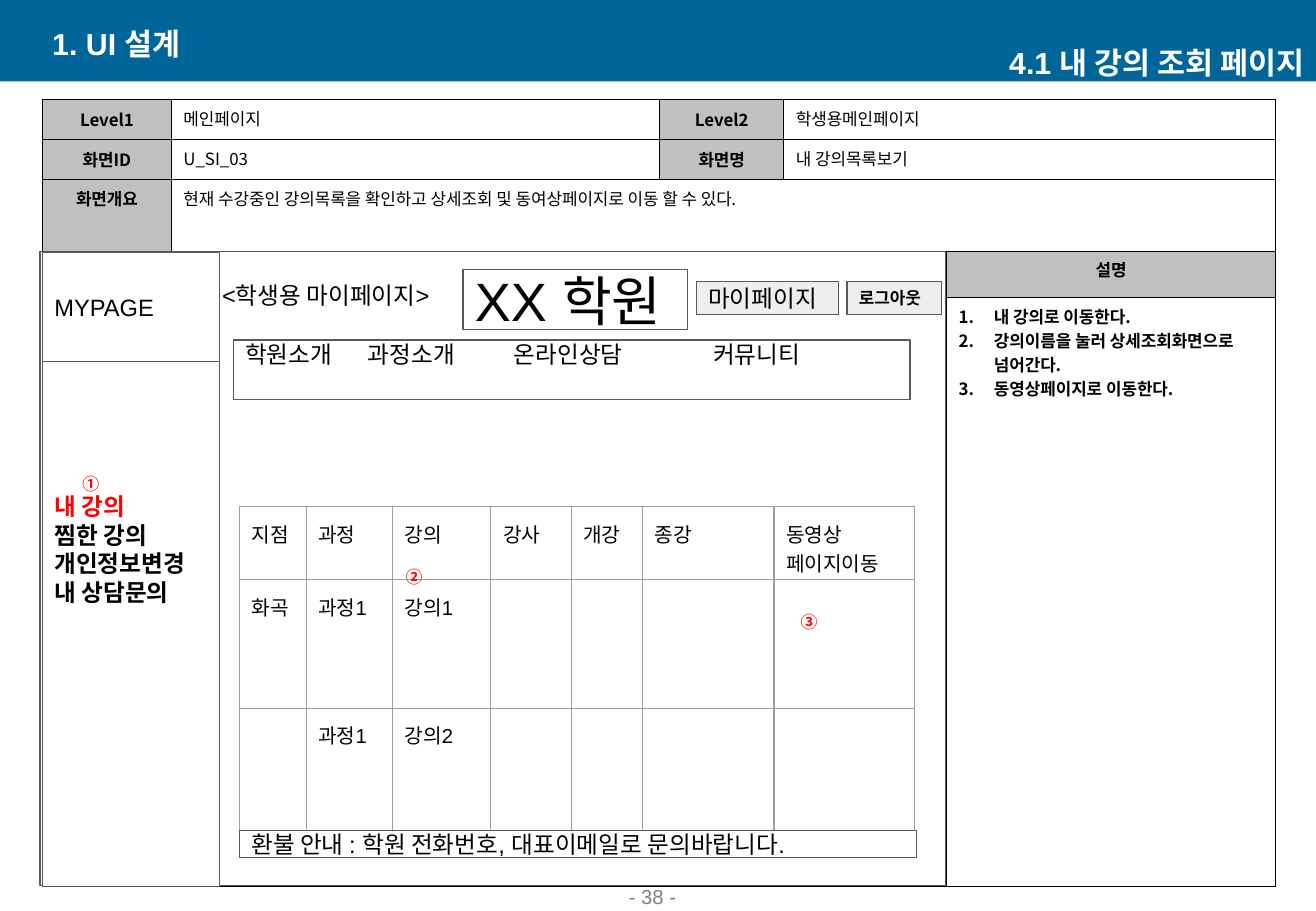
from lxml.etree import SubElement
from pptx import Presentation
from pptx.dml.color import RGBColor
from pptx.enum.shapes import MSO_SHAPE
from pptx.enum.text import MSO_ANCHOR, PP_ALIGN
from pptx.oxml.ns import qn
from pptx.util import Inches, Pt

WIDTH, HEIGHT = 10.83, 7.5
KOREAN_FONT = "Noto Sans CJK KR"
LABEL_FILL = "C0C0C0"
LINE_COLOR = "595959"


def color(hex_string):
    return RGBColor.from_string(hex_string)


def format_text(frame, text, size, hex_color="000000", bold=False, font="Arial",
                align=PP_ALIGN.LEFT):
    frame.text = text
    for paragraph in frame.paragraphs:
        paragraph.alignment = align
        for run in paragraph.runs:
            run.font.name = font
            run.font.size = Pt(size)
            run.font.bold = bold
            run.font.color.rgb = color(hex_color)
            latin = run.font._element.find(qn("a:latin"))
            east_asian = latin.makeelement(qn("a:ea"), {"typeface": KOREAN_FONT})
            latin.addnext(east_asian)


def set_frame(frame, anchor, vertical_inset):
    frame.word_wrap = True
    frame.vertical_anchor = anchor
    frame.margin_left = frame.margin_right = Inches(0.1)
    frame.margin_top = frame.margin_bottom = Inches(vertical_inset)


def add_label(slide, box, text, size, anchor=MSO_ANCHOR.MIDDLE, inset=0.05, **style):
    label = slide.shapes.add_textbox(*map(Inches, box))
    set_frame(label.text_frame, anchor, inset)
    format_text(label.text_frame, text, size, **style)
    return label


def add_panel(slide, box, text="", size=14, fill="FFFFFF", line=LINE_COLOR, **style):
    panel = slide.shapes.add_shape(MSO_SHAPE.RECTANGLE, *map(Inches, box))
    panel.shadow.inherit = False
    panel.fill.solid()
    panel.fill.fore_color.rgb = color(fill)
    if line:
        panel.line.color.rgb = color(line)
        panel.line.width = Pt(0.75)
    else:
        panel.line.fill.background()
    if text:
        set_frame(panel.text_frame, MSO_ANCHOR.MIDDLE, 0.1)
        format_text(panel.text_frame, text, size, **style)
    return panel


def add_grid(slide, left, top, columns, rows, line_color, line_width):
    """Add a table of unfilled cells that all have the same border."""
    table = slide.shapes.add_table(
        len(rows), len(columns), Inches(left), Inches(top),
        Inches(sum(columns)), Inches(sum(rows))).table
    table.horz_banding = table.first_row = False
    for column, width in zip(table.columns, columns):
        column.width = Inches(width)
    for row, height in zip(table.rows, rows):
        row.height = Inches(height)
    for cell in table.iter_cells():
        properties = cell._tc.get_or_add_tcPr()
        for side in ("lnL", "lnR", "lnT", "lnB"):
            border = SubElement(properties, qn(f"a:{side}"), w=str(Pt(line_width)))
            SubElement(SubElement(border, qn("a:solidFill")), qn("a:srgbClr"),
                       val=line_color)
        cell.fill.background()
    return table


def set_tab_stops(paragraph, positions):
    tab_list = SubElement(paragraph._p.get_or_add_pPr(), qn("a:tabLst"))
    for position in positions:
        SubElement(tab_list, qn("a:tab"), pos=str(Inches(position)), algn="l")


def add_header(slide, height):
    band = add_panel(slide, (0, 0, WIDTH, height), fill="006699", line=None)
    slide.shapes._spTree.insert(2, band._element)
    title = slide.shapes.title
    title.left, title.top, title.width, title.height = map(
        Inches, (0.33, 0.19, 4.38, 0.33))
    set_frame(title.text_frame, MSO_ANCHOR.MIDDLE, 0.05)
    format_text(title.text_frame, "1. UI 설계", 18, "FFFFFF", bold=True)
    add_label(slide, (WIDTH - 4.38, 0.35, 4.38, 0.33), "4.1 내 강의 조회 페이지", 18,
              hex_color="FFFFFF", bold=True, align=PP_ALIGN.RIGHT)


def add_specification(slide, left, top):
    table = add_grid(slide, left, top, (1.06, 4.02, 1.02, 1.34, 2.71),
                     (0.33, 0.33, 0.59, 0.38, 4.85), "000000", 1)
    for first, last in (((0, 3), (0, 4)), ((1, 3), (1, 4)),
                        ((2, 1), (2, 4)), ((3, 0), (4, 3))):
        table.cell(*first).merge(table.cell(*last))

    labels = {(0, 0): "Level1", (0, 2): "Level2", (1, 0): "화면ID",
              (1, 2): "화면명", (2, 0): "화면개요", (3, 4): "설명"}
    for (row, column), text in labels.items():
        cell = table.cell(row, column)
        format_text(cell.text_frame, text, 10, bold=True, font=KOREAN_FONT,
                    align=PP_ALIGN.CENTER)
        cell.fill.solid()
        cell.fill.fore_color.rgb = color(LABEL_FILL)
        if row < 2:
            cell.vertical_anchor = MSO_ANCHOR.MIDDLE

    values = {
        (0, 1): "메인페이지", (0, 3): "학생용메인페이지",
        (1, 1): "U_SI_03", (1, 3): "내 강의목록보기",
        (2, 1): "현재 수강중인 강의목록을 확인하고 상세조회 및 동여상페이지로 이동 할 수 있다.",
    }
    for position, text in values.items():
        format_text(table.cell(*position).text_frame, text, 10, font=KOREAN_FONT)

    notes = table.cell(4, 4).text_frame
    format_text(notes, "내 강의로 이동한다.\n강의이름을 눌러 상세조회화면으로 넘어간다.\n"
                "동영상페이지로 이동한다.", 10, bold=True, font=KOREAN_FONT)
    for paragraph in notes.paragraphs:
        properties = paragraph._p.get_or_add_pPr()
        properties.set("marL", str(Inches(0.29)))
        properties.set("indent", str(-Inches(0.29)))
        SubElement(properties, qn("a:buAutoNum"), type="arabicPeriod")


def add_lecture_table(slide, left, top):
    table = add_grid(slide, left, top, (0.55, 0.71, 0.81, 0.66, 0.59, 1.08, 1.16),
                     (0.6, 1.06, 1.06), "9E9E9E", 0.75)
    lectures = (("지점", "과정", "강의", "강사", "개강", "종강", "동영상 페이지이동"),
                ("화곡", "과정1", "강의1"),
                ("", "과정1", "강의2"))
    for row, texts in enumerate(lectures):
        for column, text in enumerate(texts):
            cell = table.cell(row, column)
            cell.margin_top = cell.margin_bottom = Inches(0.1)
            format_text(cell.text_frame, text, 12)


def add_page_mockup(slide, box):
    left, top, width, height = box

    def place(x, y, part_width, part_height):
        return left + x, top + y, part_width, part_height

    add_panel(slide, box)
    menu = add_panel(slide, place(0.02, 0.15, 1.46, 5.08),
                     "내 강의\n찜한 강의\n개인정보변경\n내 상담문의", bold=True)
    menu.text_frame.margin_bottom = Inches(0.58)
    menu.text_frame.paragraphs[0].runs[0].font.color.rgb = color("FF0000")
    add_panel(slide, place(0.02, 0.01, 1.46, 0.9), "MYPAGE")

    add_label(slide, place(1.4, 0.14, 2.24, 0.44), "<학생용 마이페이지>", 14,
              anchor=MSO_ANCHOR.TOP, inset=0.1)
    add_panel(slide, place(3.48, 0.15, 1.85, 0.49), "XX 학원", 32)
    add_panel(slide, place(5.4, 0.25, 1.17, 0.27), "마이페이지", fill="EEEEEE")
    add_panel(slide, place(6.64, 0.25, 0.78, 0.27), "로그아웃", 10, fill="EEEEEE",
              bold=True)

    navigation = add_panel(slide, place(1.59, 0.73, 5.57, 0.49),
                           "학원소개\t과정소개\t온라인상담\t커뮤니티")
    set_frame(navigation.text_frame, MSO_ANCHOR.TOP, 0)
    set_tab_stops(navigation.text_frame.paragraphs[0], (1.01, 2.21, 3.85))

    add_lecture_table(slide, left + 1.64, top + 2.1)
    add_panel(slide, place(1.64, 4.77, 5.57, 0.22),
              "환불 안내 : 학원 전화번호, 대표이메일로 문의바랍니다.")
    for number, x, y in (("①", 0.25, 1.78), ("②", 2.91, 2.55), ("③", 6.16, 2.92)):
        add_label(slide, place(x, y, 0.34, 0.27), number, 10, anchor=MSO_ANCHOR.TOP,
                  hex_color="FF0000", bold=True, font=KOREAN_FONT)


def main():
    presentation = Presentation()
    presentation.slide_width = Inches(WIDTH)
    presentation.slide_height = Inches(HEIGHT)
    slide = presentation.slides.add_slide(presentation.slide_layouts[5])
    add_header(slide, 0.67)
    add_specification(slide, 0.35, 0.82)
    add_page_mockup(slide, (0.33, 2.07, 7.45, 5.22))
    add_label(slide, (4.24, 7.3, 2.26, 0.23), "- 38 -", 12, anchor=MSO_ANCHOR.BOTTOM,
              hex_color="808080", align=PP_ALIGN.CENTER)
    presentation.save("out.pptx")


if __name__ == "__main__":
    main()
